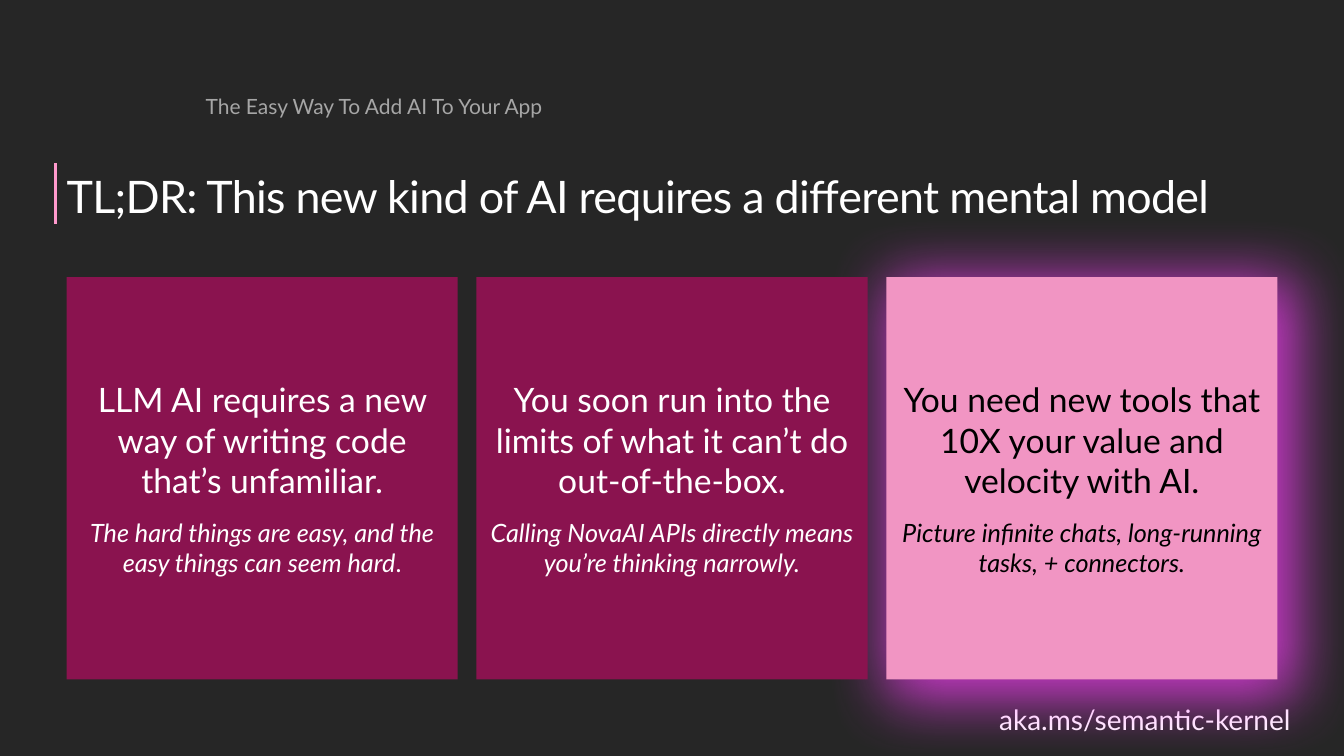
from pptx import Presentation
from pptx.dml.color import RGBColor
from pptx.enum.shapes import MSO_CONNECTOR, MSO_SHAPE
from pptx.enum.text import MSO_ANCHOR, PP_ALIGN
from pptx.oxml import parse_xml
from pptx.oxml.ns import nsdecls
from pptx.util import Inches, Pt

HUES = {
    "back": "262626", "white": "FFFFFF", "black": "000000", "gray": "A6A6A6",
    "bar": "FF99CC", "wine": "8A134F", "pink": "F195C3", "glow": "FF40FF",
}


def hue(name):
    return RGBColor.from_string(HUES[name])


def write(para, text, color, **style):
    run = para.add_run()
    run.text = text
    run.font.color.rgb = hue(color)
    for key, value in ({"name": "Lato"} | style).items():
        setattr(run.font, key, value)
    return run


# Slide
deck = Presentation()
deck.slide_width, deck.slide_height = Inches(13.33), Inches(7.5)
slide = deck.slides.add_slide(deck.slide_layouts[6])
slide.background.fill.solid()
slide.background.fill.fore_color.rgb = hue("back")

# Grid of three cards
LEFT, TOP, WIDE, HIGH, STEP = 0.66, 2.75, 3.88, 3.99, 4.065

# Accent bar beside the title
bar = slide.shapes.add_connector(
    MSO_CONNECTOR.STRAIGHT, Inches(0.55), Inches(1.62), Inches(0.55), Inches(2.22))
bar.line.color.rgb = hue("bar")
bar.line.width = Pt(2.25)
bar._element.spPr.append(parse_xml(f"<a:effectLst {nsdecls('a')}/>"))

# Web address, tagline and title: box, margins, text, size, color, tracking
lines = [
    ((9.91, 6.97, 3.07, 0.34), (0, 0, 0), "aka.ms/semantic-kernel", 20, "white", 0),
    ((2.04, 0.88, 7.1, 0.35), (0, 0.05, 0.1),
     "The Easy Way To Add AI To Your App", 15, "gray", 0),
    ((LEFT, 1.62, 12.05, 0.61), (0, 0.05, 0.1),
     "TL;DR: This new kind of AI requires a different mental model", 32, "white", -50),
]
for box, (left, edge, right), text, size, color, track in lines:
    frame = slide.shapes.add_textbox(*map(Inches, box)).text_frame
    form = {"word_wrap": True, "margin_left": Inches(left), "margin_right": Inches(right),
            "margin_top": Inches(edge), "margin_bottom": Inches(edge)}
    for key, value in form.items():
        setattr(frame, key, value)
    run = write(frame.paragraphs[0], text, color, size=Pt(size))
    if track:
        run.font._element.set("spc", str(track))

# Cards: column, fill, ink, claim, detail, full stop set upright
cards = [
    (0, "wine", "white", "LLM AI requires a new way of writing code that’s unfamiliar.",
     "The hard things are easy, and the easy things can seem hard", "."),
    (2, "pink", "black", "You need new tools that 10X your value and velocity with AI.",
     "Picture infinite chats, long-running tasks, + connectors.", ""),
    (1, "wine", "white", "You soon run into the limits of what it can’t do out-of-the-box.",
     "Calling NovaAI APIs directly means you’re thinking narrowly.", ""),
]
form = {"word_wrap": True, "vertical_anchor": MSO_ANCHOR.MIDDLE,
        "margin_left": Inches(0.1), "margin_right": Inches(0.1),
        "margin_top": Inches(0.2), "margin_bottom": Inches(0.2)}
for col, fill, ink, claim, detail, stop in cards:
    card = slide.shapes.add_shape(
        MSO_SHAPE.RECTANGLE, Inches(LEFT + col * STEP), Inches(TOP), Inches(WIDE), Inches(HIGH))
    card.shadow.inherit = False
    card.fill.solid()
    card.fill.fore_color.rgb = hue(fill)
    card.line.fill.background()
    frame = card.text_frame
    for key, value in form.items():
        setattr(frame, key, value)
    head, body = frame.paragraphs[0], frame.add_paragraph()
    for para in (head, body):
        para.alignment = PP_ALIGN.CENTER
        para.space_after = Pt(8)
    body.space_before = Pt(4)
    write(head, claim, ink, size=Pt(24))
    write(body, detail, ink, size=Pt(18), italic=True)
    if stop:
        write(body, stop, ink, size=Pt(18))

    # Glow around the highlighted card
    if fill == "pink":
        effects = card._element.spPr.find("{*}effectLst")
        effects.append(parse_xml(
            f'<a:outerShdw {nsdecls("a")} blurRad="{Pt(46.5)}" dist="0" dir="0" '
            f'sx="105000" sy="105000" algn="tl" rotWithShape="0">'
            f'<a:srgbClr val="{HUES["glow"]}"><a:alpha val="76000"/></a:srgbClr>'
            f'</a:outerShdw>'))

deck.save("out.pptx")
